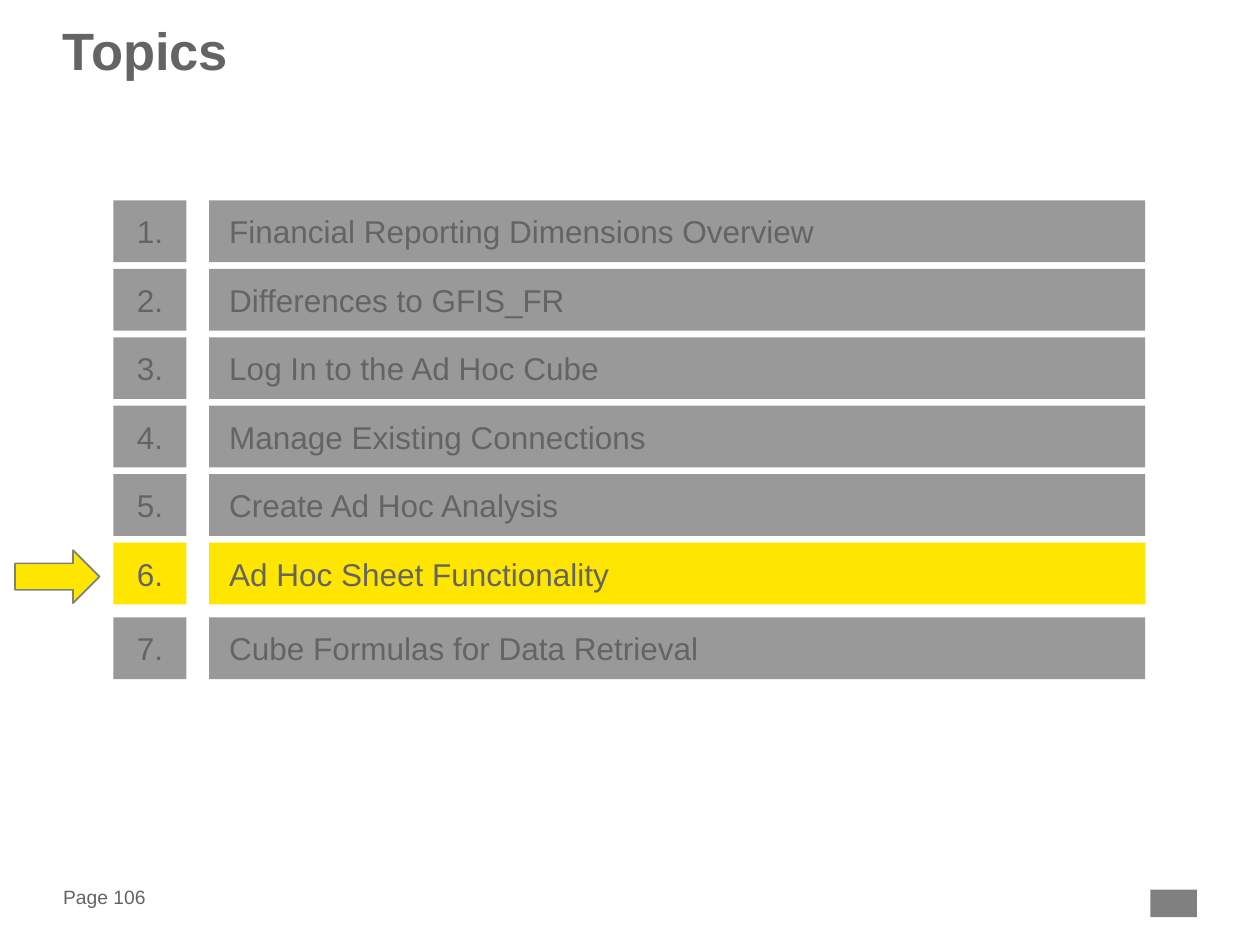
from pptx import Presentation
from pptx import util as u
from pptx.dml.color import RGBColor
from pptx.enum import shapes, text

GREY_TEXT = RGBColor(0x64, 0x64, 0x64)
GREY_BAR = RGBColor(0x99, 0x99, 0x99)
GREY_MARK = RGBColor(0x80, 0x80, 0x80)
YELLOW = RGBColor(0xFF, 0xE6, 0x00)

TOPICS = [
    "Financial Reporting Dimensions Overview",
    "Differences to GFIS_FR",
    "Log In to the Ad Hoc Cube",
    "Manage Existing Connections",
    "Create Ad Hoc Analysis",
    "Ad Hoc Sheet Functionality",
    "Cube Formulas for Data Retrieval",
]
CURRENT = 6


def set_all(target, values):
    for name, value in values.items():
        setattr(target, name, value)


def write(shape, words, size, inset=(0, 0), bold=False, spacing=None,
          anchor=text.MSO_ANCHOR.MIDDLE, align=text.PP_ALIGN.LEFT):
    """Put one formatted paragraph in a shape; inset is (sides, top and bottom)."""
    side, edge = (u.Inches(value) for value in inset)
    frame = shape.text_frame
    set_all(frame, {"word_wrap": True, "vertical_anchor": anchor,
                    "margin_left": side, "margin_right": side,
                    "margin_top": edge, "margin_bottom": edge})
    paragraph = frame.paragraphs[0]
    paragraph.text = words
    set_all(paragraph, {"alignment": align, "line_spacing": spacing})
    set_all(paragraph.runs[0].font, {"name": "Arial", "size": u.Pt(size), "bold": bold})
    paragraph.runs[0].font.color.rgb = GREY_TEXT


def add_text(slide, box, words, size, **style):
    write(slide.shapes.add_textbox(*map(u.Inches, box)), words, size, **style)


def add_block(slide, box, fill, kind=shapes.MSO_SHAPE.RECTANGLE):
    shape = slide.shapes.add_shape(kind, *map(u.Inches, box))
    shape.shadow.inherit = False
    shape.fill.solid()
    shape.fill.fore_color.rgb = fill
    shape.line.fill.background()
    return shape


def add_topic_list(slide, box):
    """Numbered bars, with a wider gap and an arrow at the current topic."""
    left, top, width, height = box
    row_height, number_width, bar_offset, extra_gap = 0.49, 0.58, 0.76, 0.05
    pitch = (height - row_height - extra_gap) / (len(TOPICS) - 1)
    for number, topic in enumerate(TOPICS, 1):
        row_top = top + (number - 1) * pitch + (extra_gap if number > CURRENT else 0)
        fill = YELLOW if number == CURRENT else GREY_BAR
        number_box = add_block(slide, (left, row_top, number_width, row_height), fill)
        write(number_box, f"{number}.", 18, (0.09, 0.04), align=text.PP_ALIGN.CENTER)
        bar = add_block(slide, (left + bar_offset, row_top, width - bar_offset, row_height), fill)
        write(bar, topic, 18, (0.16, 0.04))
        if number == CURRENT:
            arrow = add_block(slide, (left - 0.78, row_top + 0.06, 0.67, 0.42), YELLOW,
                              shapes.MSO_SHAPE.RIGHT_ARROW)
            arrow.line.color.rgb = GREY_MARK
            arrow.line.width = u.Pt(1)


def add_footer(slide, box):
    """Page number at the left, plain mark at the right."""
    left, top, width, height = box
    add_text(slide, (left, top, 0.79, 0.22), "Page 106", 11)
    add_block(slide, (left + width - 0.37, top + height - 0.22, 0.37, 0.22), GREY_MARK)


def main():
    presentation = Presentation()
    set_all(presentation, {"slide_width": u.Inches(10), "slide_height": u.Inches(7.5)})
    slide = presentation.slides.add_slide(presentation.slide_layouts[6])

    # Title
    add_text(slide, (0.5, 0.22, 9, 0.94), "Topics", 30, bold=True, spacing=0.85,
             anchor=text.MSO_ANCHOR.TOP)
    add_topic_list(slide, (0.9, 1.59, 8.19, 3.8))
    add_footer(slide, (0.5, 7.01, 9, 0.27))
    presentation.save("out.pptx")


if __name__ == "__main__":
    main()
